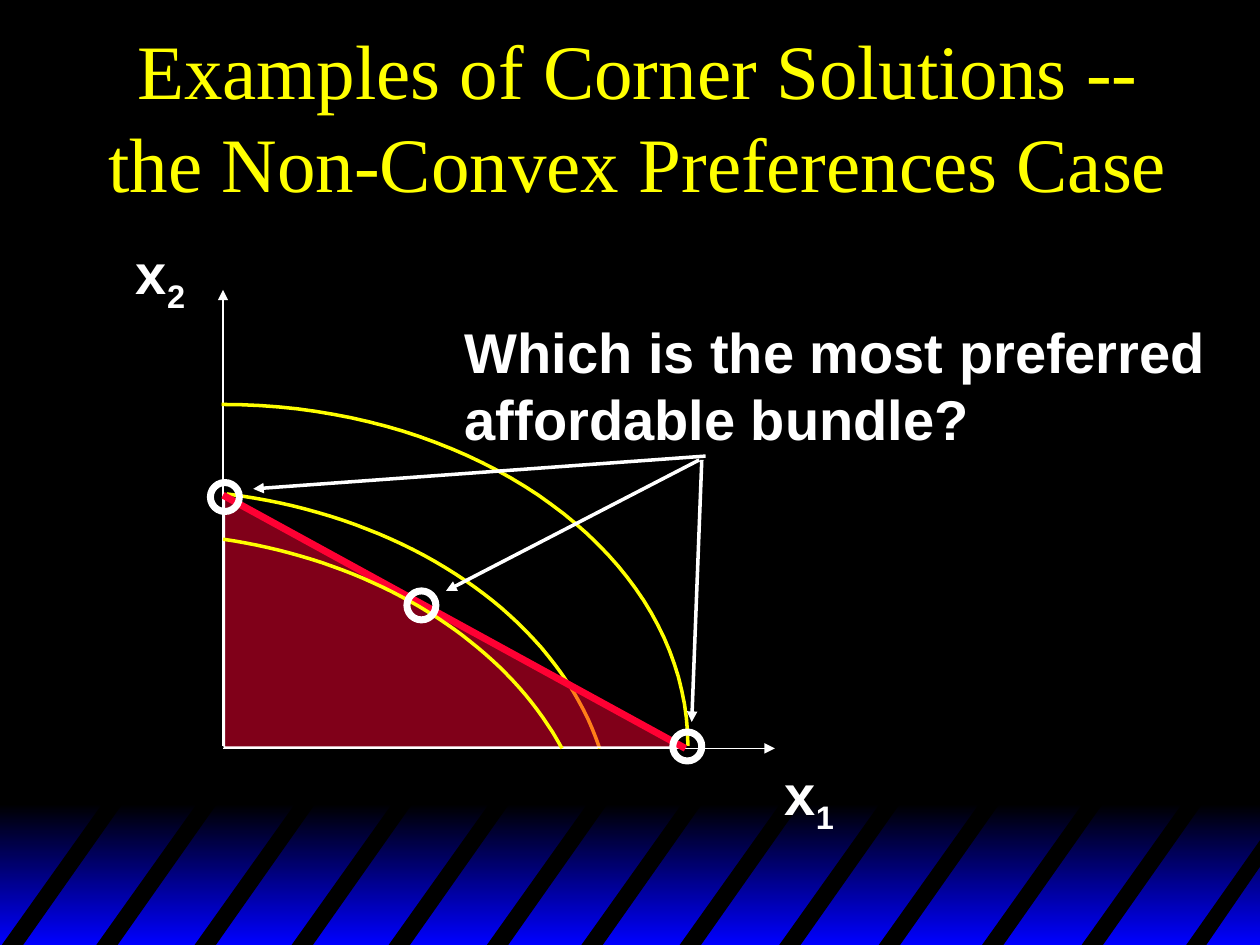
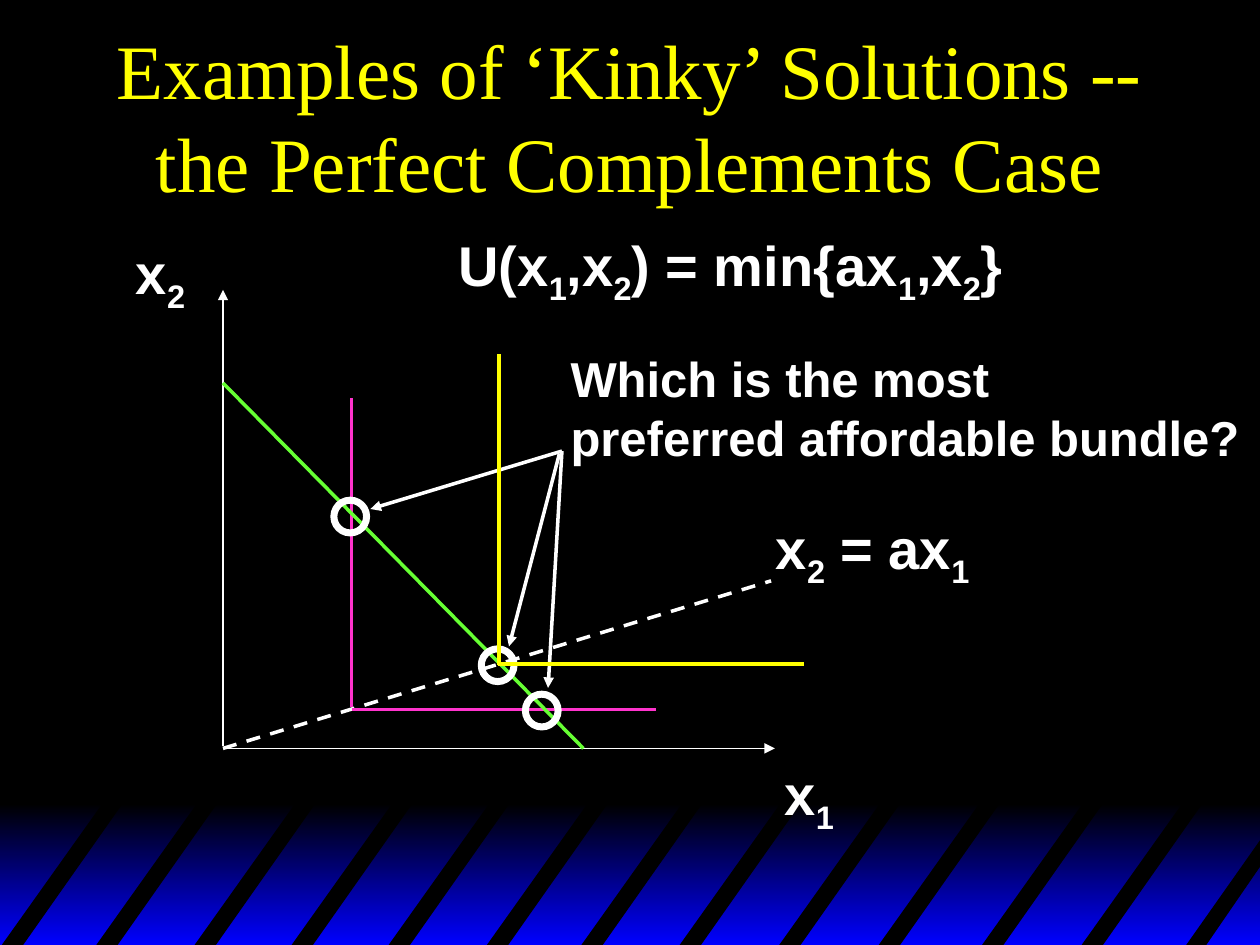
from lxml import etree
from pptx import Presentation, util as u
from pptx.dml.color import RGBColor as Rgb
from pptx.enum import dml, shapes, text
from pptx.oxml.ns import qn

hues = {
    "black": "000000", "blue": "0000FF", "white": "FFFFFF", "yellow": "FFFF00",
    "red": "FF0033", "pink": "FF33CC", "green": "66FF33",
}
hue = {name: Rgb.from_string(code) for name, code in hues.items()}
inch = u.Inches


def write(slide, words, box, size=32, font="Arial", color="white", bold=True, title=False):
    frame = slide.shapes.add_textbox(*map(inch, box)).text_frame
    frame.word_wrap = title
    frame.auto_size = text.MSO_AUTO_SIZE.NONE if title else text.MSO_AUTO_SIZE.SHAPE_TO_FIT_TEXT
    frame.vertical_anchor = text.MSO_ANCHOR.MIDDLE if title else text.MSO_ANCHOR.TOP
    para = frame.paragraphs[0]
    para.alignment = text.PP_ALIGN.CENTER if title else text.PP_ALIGN.LEFT
    for row, line in enumerate(words.split("\n")):
        if row:
            para.add_line_break()
        first, *rest = line.split("_")
        parts = [(first, False)]
        for part in rest:
            parts += [(part[0], True), (part[1:], False)]
        for part, low in parts:
            if not part:
                continue
            run = para.add_run()
            run.text = part
            run.font.name, run.font.size, run.font.bold = font, u.Pt(size), bold
            run.font.color.rgb = hue[color]
            if low:
                run._r.get_or_add_rPr().set("baseline", "-25000")


def draw(slide, start, end, color="white", width=2, arrow=False, dash=False):
    line = slide.shapes.add_connector(
        shapes.MSO_CONNECTOR.STRAIGHT, *map(inch, (*start, *end)))
    line.line.color.rgb = hue[color]
    line.line.width = u.Pt(width)
    if dash:
        line.line.dash_style = dml.MSO_LINE.DASH
    if arrow:
        etree.SubElement(line.line._get_or_add_ln(), qn("a:tailEnd"), type="triangle")
    etree.SubElement(line._element.spPr, qn("a:effectLst"))


deck = Presentation()
deck.slide_width, deck.slide_height = inch(10), inch(7.5)

top, base = 6.34, 7.52
starts = [0, 0.75, 1.53, 2.3, 3.07, 3.85, 4.6, 5.38, 6.17, 6.96, 7.78, 8.57]
stripes = [[(x, base), (x + 0.84, top), (x + 1, top), (x + 0.17, base)] for x in starts]
stripes.append([(9.4, base), (10.02, 6.64), (10.02, 6.85), (9.56, base)])

zero = (1.77, 5.94)
titles = [
    ("Examples of Corner Solutions -- the Non-Convex Preferences Case", (0.7, 0.25, 8.73, 1.33)),
    ("Examples of ‘Kinky’ Solutions -- the Perfect Complements Case", (0.75, 0.25, 8.5, 1.33)),
]
for words, box in titles:
    slide = deck.slides.add_slide(deck.slide_layouts[6])
    slide.background.fill.solid()
    slide.background.fill.fore_color.rgb = hue["black"]
    band = slide.shapes.add_shape(
        shapes.MSO_SHAPE.RECTANGLE, *map(inch, (0, 6.38, 10.02, 1.12)))
    band.shadow.inherit = False
    band.line.fill.background()
    band.fill.gradient()
    band.fill.gradient_angle = 270
    for stop, name in zip(band.fill.gradient_stops, ("black", "blue")):
        stop.color.rgb = hue[name]
    for first, *rest in stripes:
        pen = slide.shapes.build_freeform(first[0] * 1000, first[1] * 1000, scale=914.4)
        pen.add_line_segments([(x * 1000, y * 1000) for x, y in rest])
        stripe = pen.convert_to_shape()
        stripe.shadow.inherit = False
        stripe.fill.solid()
        stripe.fill.fore_color.rgb = hue["black"]
        stripe.line.fill.background()
    write(slide, words, box, size=44, font="Times New Roman", color="yellow",
          bold=False, title=True)
    draw(slide, (1.77, 5.92), (1.77, 2.3), width=1, arrow=True)
    draw(slide, zero, (6.15, 5.94), width=1, arrow=True)
    write(slide, "x_1", (6.13, 5.98, 0.59, 0.71))
    write(slide, "x_2", (0.98, 1.84, 0.59, 0.71))

corner, kinky = deck.slides

curves = [
    [(1.76, 3.21), (3.8, 3.21), (5.46, 4.42), (5.46, 5.92)],
    [(1.8, 3.92), (3.24, 4.1), (4.41, 4.89), (4.76, 5.94)],
    [(1.77, 4.28), (2.99, 4.46), (4, 5.09), (4.46, 5.94)],
]
steps = 40
for rank, knots in enumerate(curves):
    if rank == 2:
        budget = corner.shapes.add_shape(
            shapes.MSO_SHAPE.RIGHT_TRIANGLE, *map(inch, (1.78, 3.94, 3.66, 1.99)))
        budget.shadow.inherit = False
        budget.fill.solid()
        budget.fill.fore_color.rgb = hue["red"]
        tint = budget._element.spPr.find(qn("a:solidFill"))[0]
        etree.SubElement(tint, qn("a:alpha"), val="50000")
        budget.line.color.rgb = hue["white"]
        budget.line.width = u.Pt(1)
        draw(corner, (1.77, 3.93), (5.44, 5.94), color="red", width=4)
    dots = []
    for step in range(steps + 1):
        t = step / steps
        loads = ((1 - t) ** 3, 3 * t * (1 - t) ** 2, 3 * t ** 2 * (1 - t), t ** 3)
        dots.append([1000 * sum(w * k[axis] for w, k in zip(loads, knots)) for axis in (0, 1)])
    pen = corner.shapes.build_freeform(*dots[0], scale=914.4)
    pen.add_line_segments(dots[1:], close=False)
    curve = pen.convert_to_shape()
    curve.shadow.inherit = False
    curve.fill.background()
    curve.line.color.rgb = hue["yellow"]
    curve.line.width = u.Pt(2)

draw(kinky, zero, (6.12, 4.61), dash=True)
draw(kinky, (2.79, 3.16), (2.79, 5.61), color="pink")
draw(kinky, (2.79, 5.63), (5.21, 5.63), color="pink")
write(kinky, "U(x_1,x_2) = min{ax_1,x_2}", (3.54, 1.78, 4.52, 0.71))
write(kinky, "x_2 = ax_1", (6.06, 4.03, 1.74, 0.71))
draw(kinky, (1.77, 3.04), (4.63, 5.94), color="green")

rings = [
    (corner, 0.23, [(1.67, 3.83), (5.34, 5.81), (3.23, 4.69)]),
    (kinky, 0.26, [(2.65, 3.97), (3.82, 5.15), (4.17, 5.51)]),
]
for slide, size, spots in rings:
    for spot in spots:
        ring = slide.shapes.add_shape(shapes.MSO_SHAPE.OVAL, *map(inch, (*spot, size, size)))
        ring.shadow.inherit = False
        ring.fill.background()
        ring.line.color.rgb = hue["white"]
        ring.line.width = u.Pt(4)

write(corner, "Which is the most preferred\naffordable bundle?", (3.59, 2.47, 6.09, 1.17))
write(kinky, "Which is the most\npreferred affordable bundle?", (4.43, 2.72, 5.51, 1.04), size=28)

arrows = [
    (corner, (5.6, 3.62), (2.01, 3.88)),
    (corner, (5.55, 3.65), (3.54, 4.69)),
    (corner, (5.57, 3.65), (5.49, 5.73)),
    (kinky, (4.46, 3.58), (2.94, 4.04)),
    (kinky, (4.46, 3.58), (4.35, 5.46)),
    (kinky, (4.44, 3.6), (4.04, 5.13)),
]
for slide, start, end in arrows:
    draw(slide, start, end, arrow=True)

draw(kinky, (3.95, 5.27), (6.38, 5.27), color="yellow")
draw(kinky, (3.96, 5.28), (3.96, 2.81), color="yellow", width=2.25)

deck.save("out.pptx")
